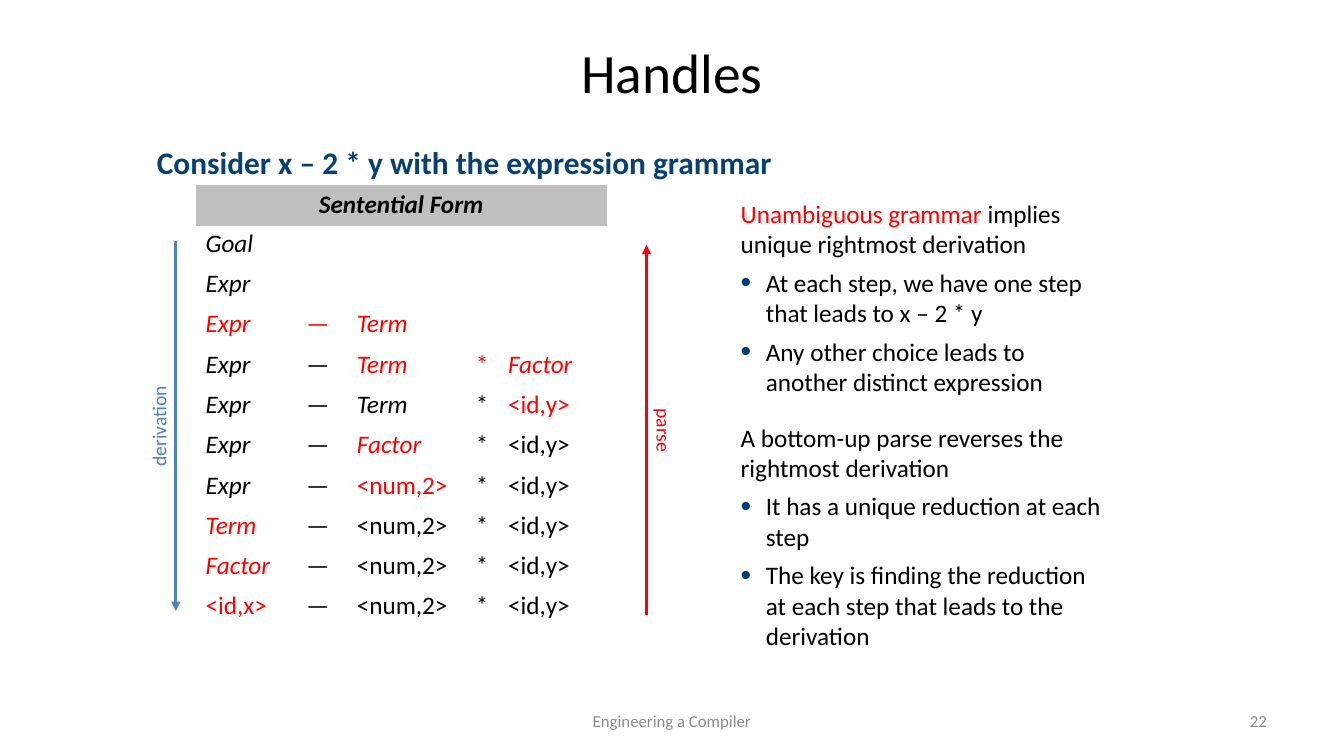
import lxml.etree
import pptx
import pptx.dml.color
import pptx.enum.shapes
import pptx.enum.text
import pptx.oxml.ns
import pptx.util

Pt = pptx.util.Pt
ALIGN = pptx.enum.text.PP_ALIGN
ANCHOR = pptx.enum.text.MSO_ANCHOR

COLOURS = {
    "black": "000000", "white": "FFFFFF", "header": "BFBFBF", "red": "FF0000",
    "heading": "074073", "bullet": "003C75", "footer": "8C8C8C",
    "derivation": "4F81BD", "parse": "F90011",
}
FONT = "Calibri"
NO_TABLE_STYLE = "{2D5ABB26-0587-4C30-8999-92F81FD0307C}"

# Each sentential form: its symbols, then the columns shown in red
SENTENTIAL_FORMS = [
    (["Goal"], []),
    (["Expr"], []),
    (["Expr", "—", "Term"], [0, 1, 2]),
    (["Expr", "—", "Term", "*", "Factor"], [2, 3, 4]),
    (["Expr", "—", "Term", "*", "<id,y>"], [4]),
    (["Expr", "—", "Factor", "*", "<id,y>"], [2]),
    (["Expr", "—", "<num,2>", "*", "<id,y>"], [2]),
    (["Term", "—", "<num,2>", "*", "<id,y>"], [0]),
    (["Factor", "—", "<num,2>", "*", "<id,y>"], [0]),
    (["<id,x>", "—", "<num,2>", "*", "<id,y>"], [0]),
]
COLUMN_WIDTHS = [72, 36, 85, 23, 77.75]
HEADER_HEIGHT, ROW_HEIGHT = 29.4, 28.8

# Each remark: runs with their colour, space before, whether it has a bullet
REMARKS = [
    ([("Unambiguous grammar ", "red"), ("implies unique rightmost derivation", "black")], 0, False),
    ([("At each step, we have one step that leads to x – 2 * y", "black")], 6, True),
    ([("Any other choice leads to another distinct expression", "black")], 6, True),
    ([("A bottom-up parse reverses the rightmost derivation", "black")], 18, False),
    ([("It has a unique reduction at each step", "black")], 6, True),
    ([("The key is finding the reduction at each step that leads to the derivation", "black")], 6, True),
]

# Text, box, size, colour, bold, alignment, anchor
SINGLE_LINES = [
    ("Handles", (48, 21.6, 864, 58.3), 39.6, "black", False, ALIGN.CENTER, ANCHOR.MIDDLE),
    ("Consider x – 2 * y with the expression grammar", (105, 98.6, 461, 48),
     22.4, "heading", True, ALIGN.LEFT, ANCHOR.TOP),
    ("Engineering a Compiler", (328, 500.5, 304, 28.75), 12, "footer", False, ALIGN.CENTER, ANCHOR.MIDDLE),
    ("22", (688, 500.5, 224, 28.75), 12, "footer", False, ALIGN.RIGHT, ANCHOR.MIDDLE),
]

# Label, arrow x, start y, end y, label box, rotation
ARROWS = [
    ("derivation", 125.6, 172.4, 436.4, (50.4, 292.3, 126, 24.2), 270),
    ("parse", 461.8, 439.4, 175, (405.4, 295.2, 138.2, 24.2), 90),
]


def rgb(name):
    return pptx.dml.color.RGBColor.from_string(COLOURS[name])


def add_run(paragraph, text, size, colour, bold=False, italic=False):
    run = paragraph.add_run()
    run.text = text
    run.font.name = FONT
    run.font.size = Pt(size)
    run.font.color.rgb = rgb(colour)
    run.font.bold = bold
    run.font.italic = italic


def add_text_box(shapes, box, anchor=ANCHOR.TOP):
    shape = shapes.add_textbox(*map(Pt, box))
    shape.text_frame.word_wrap = True
    shape.text_frame.vertical_anchor = anchor
    return shape


def add_child(parent, tag, **attributes):
    return lxml.etree.SubElement(parent, pptx.oxml.ns.qn(tag), attributes)


def add_bullet(paragraph):
    properties = paragraph._p.get_or_add_pPr()
    properties.set("marL", str(Pt(18)))
    properties.set("indent", str(-Pt(18)))
    add_child(add_child(properties, "a:buClr"), "a:srgbClr", val=COLOURS["bullet"])
    add_child(properties, "a:buSzPct", val="120000")
    add_child(properties, "a:buFont", typeface="Arial")
    add_child(properties, "a:buChar", char="•")


def add_single_line(shapes, text, box, size, colour, bold, alignment, anchor):
    shape = add_text_box(shapes, box, anchor)
    paragraph = shape.text_frame.paragraphs[0]
    paragraph.alignment = alignment
    add_run(paragraph, text, size, colour, bold)
    return shape


def add_derivation_table(slide):
    row_count = len(SENTENTIAL_FORMS) + 1
    height = HEADER_HEIGHT + ROW_HEIGHT * len(SENTENTIAL_FORMS)
    frame = slide.shapes.add_table(row_count, len(COLUMN_WIDTHS), Pt(139.7), Pt(131.8),
                                   Pt(sum(COLUMN_WIDTHS)), Pt(height))
    table = frame.table
    table.first_row = table.horz_banding = False
    next(frame.element.iter(pptx.oxml.ns.qn("a:tableStyleId"))).text = NO_TABLE_STYLE
    for column, width in zip(table.columns, COLUMN_WIDTHS):
        column.width = Pt(width)
    for index, row in enumerate(table.rows):
        row.height = Pt(ROW_HEIGHT if index else HEADER_HEIGHT)
        for cell in row.cells:
            cell.fill.solid()
            cell.fill.fore_color.rgb = rgb("white" if index else "header")

    header = table.cell(0, 0)
    header.merge(table.cell(0, len(COLUMN_WIDTHS) - 1))
    paragraph = header.text_frame.paragraphs[0]
    paragraph.alignment = ALIGN.CENTER
    add_run(paragraph, "Sentential Form", 18, "black", bold=True, italic=True)

    for row_index, (symbols, red_columns) in enumerate(SENTENTIAL_FORMS, start=1):
        for column_index, symbol in enumerate(symbols):
            paragraph = table.cell(row_index, column_index).text_frame.paragraphs[0]
            paragraph.line_spacing = Pt(20)
            colour = "red" if column_index in red_columns else "black"
            add_run(paragraph, symbol, 18, colour, italic=symbol.isalpha())


def add_remarks(slide):
    frame = add_text_box(slide.shapes, (522, 138.2, 275.8, 329.8)).text_frame
    for index, (runs, space_before, bulleted) in enumerate(REMARKS):
        paragraph = frame.add_paragraph() if index else frame.paragraphs[0]
        if bulleted:
            add_bullet(paragraph)
        paragraph.space_before = Pt(space_before)
        for text, colour in runs:
            add_run(paragraph, text, 18, colour)


def add_labelled_arrow(slide, label, x, start, end, box, rotation):
    shapes = slide.shapes.add_group_shape().shapes
    arrow = shapes.add_connector(pptx.enum.shapes.MSO_CONNECTOR.STRAIGHT,
                                 Pt(x), Pt(start), Pt(x), Pt(end))
    arrow.line.color.rgb = rgb(label)
    arrow.line.width = Pt(2.25)
    add_child(arrow.line._get_or_add_ln(), "a:tailEnd", type="triangle")
    add_child(arrow.element.spPr, "a:effectLst")
    text_box = add_single_line(shapes, label, box, 14, label, False, ALIGN.CENTER, ANCHOR.TOP)
    text_box.rotation = rotation


def main():
    presentation = pptx.Presentation()
    presentation.slide_width, presentation.slide_height = Pt(960), Pt(540)
    slide = presentation.slides.add_slide(presentation.slide_layouts[6])
    for line in SINGLE_LINES:
        add_single_line(slide.shapes, *line)
    add_derivation_table(slide)
    add_remarks(slide)
    for arrow in ARROWS:
        add_labelled_arrow(slide, *arrow)
    presentation.save("out.pptx")


if __name__ == "__main__":
    main()
